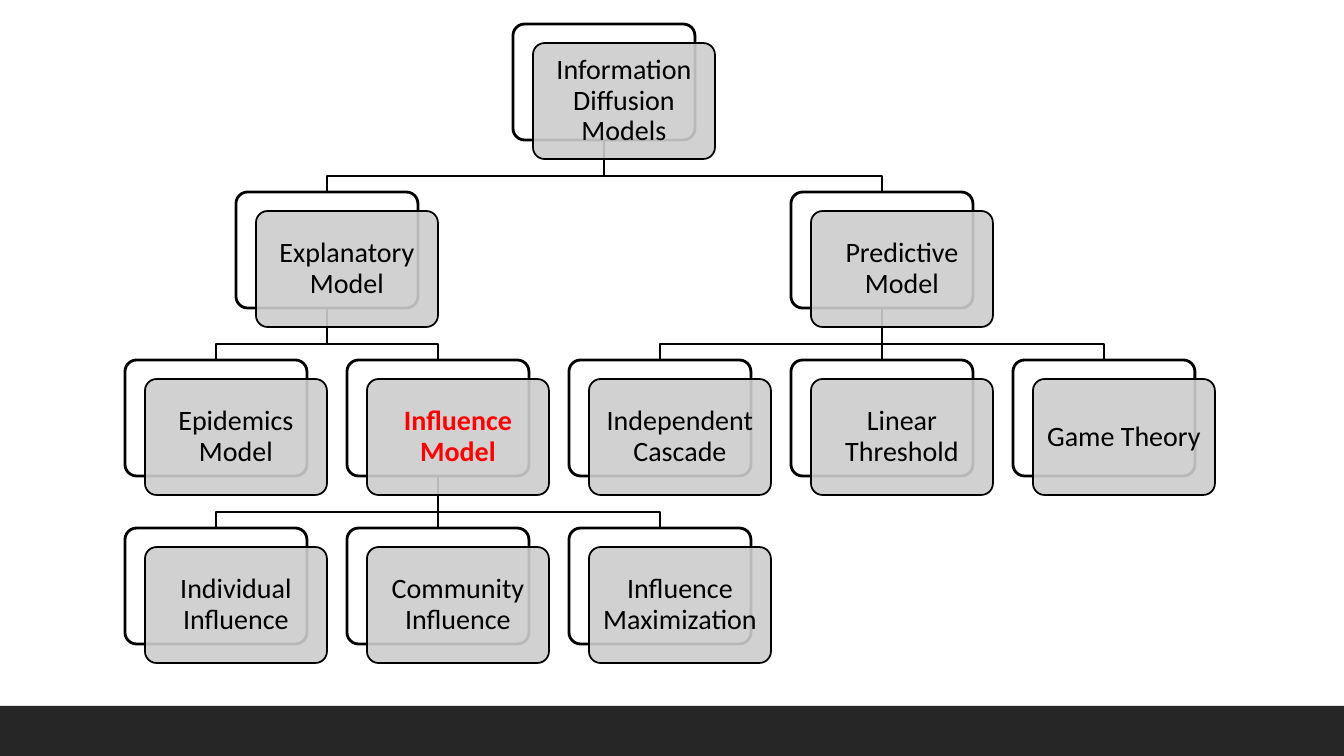
from pptx import Presentation
from pptx.dml.color import RGBColor
from pptx.enum.shapes import MSO_CONNECTOR as CONN, MSO_SHAPE as SHAPE
from pptx.enum.text import MSO_ANCHOR as ANCHOR, PP_ALIGN as ALIGN
from pptx.oxml.ns import qn
from pptx.util import Emu, Pt
from lxml.etree import SubElement

BLACK = RGBColor(0x00, 0x00, 0x00)
WHITE = RGBColor(0xFF, 0xFF, 0xFF)
GRAY = RGBColor(0xCC, 0xCC, 0xCC)
DARK = RGBColor(0x26, 0x26, 0x26)
RED = RGBColor(0xFF, 0x00, 0x00)

SCALE = 12192000 / 1344  # EMU per px
SLIDE_W, SLIDE_H = 1344, 756
LEFT, TOP = 125, 24
COL_STEP, ROW_STEP = 222, 168
CARD_W, CARD_H = 182, 116
SHIFT_X, SHIFT_Y = 20, 19
BEND = 36  # drop from a parent card to the horizontal part of a link

# Label: (column, row, parent)
TREE = {
    "Information Diffusion Models": (1.75, 0, None),
    "Explanatory Model": (0.5, 1, "Information Diffusion Models"),
    "Epidemics Model": (0, 2, "Explanatory Model"),
    "Influence Model": (1, 2, "Explanatory Model"),
    "Individual Influence": (0, 3, "Influence Model"),
    "Community Influence": (1, 3, "Influence Model"),
    "Influence Maximization": (2, 3, "Influence Model"),
    "Predictive Model": (3, 1, "Information Diffusion Models"),
    "Independent Cascade": (2, 2, "Predictive Model"),
    "Linear Threshold": (3, 2, "Predictive Model"),
    "Game Theory": (4, 2, "Predictive Model"),
}
HIGHLIGHT = "Influence Model"


def px(n):
    return Emu(round(n * SCALE))


def corner(label):
    col, row, _ = TREE[label]
    return LEFT + int(col * COL_STEP), TOP + row * ROW_STEP


class Diagram:
    font, size, thin, thick = "Calibri", Pt(20), Pt(1.25), Pt(2)

    def __init__(self, slide):
        self.shapes = slide.shapes

    def box(self, kind, x, y, w, h, fill, line=None):
        s = self.shapes.add_shape(kind, px(x), px(y), px(w), px(h))
        s.shadow.inherit = False
        s.fill.solid()
        s.fill.fore_color.rgb = fill
        if line:
            s.line.color.rgb = BLACK
            s.line.width = line
        else:
            s.line.fill.background()
        return s

    def rounded(self, x, y, fill, line):
        s = self.box(SHAPE.ROUNDED_RECTANGLE, x, y, CARD_W, CARD_H, fill, line)
        s.adjustments[0] = 0.1
        return s

    def card(self, label):
        x, y = corner(label)
        self.rounded(x, y, WHITE, self.thick)
        s = self.rounded(x + SHIFT_X, y + SHIFT_Y, GRAY, self.thin)
        color = s.fill._xPr.find(qn("a:solidFill"))[0]
        SubElement(color, qn("a:alpha"), val="90000")
        self.text(s.text_frame, label)

    def text(self, tf, label):
        tf.word_wrap = True
        tf.vertical_anchor = ANCHOR.MIDDLE
        tf.margin_left = tf.margin_right = px(8)
        tf.margin_top = tf.margin_bottom = px(8)
        p = tf.paragraphs[0]
        p.text = label
        p.alignment = ALIGN.CENTER
        p.line_spacing = 0.9
        p.font.name = self.font
        p.font.size = self.size
        p.font.bold = label == HIGHLIGHT
        p.font.color.rgb = RED if label == HIGHLIGHT else BLACK

    def link(self, parent, child):
        (x1, y1), (x2, y2) = corner(parent), corner(child)
        x1, x2, y1 = x1 + CARD_W // 2, x2 + CARD_W // 2, y1 + CARD_H
        if x1 == x2:
            s = self.shapes.add_connector(CONN.STRAIGHT, px(x1), px(y1), px(x2), px(y2))
            SubElement(s._element.spPr, qn("a:effectLst"))
        else:
            path = self.shapes.build_freeform(x1, y1, scale=SCALE)
            path.add_line_segments(
                [(x1, y1 + BEND), (x2, y1 + BEND), (x2, y2)], close=False)
            s = path.convert_to_shape()
            s.fill.background()
            s.shadow.inherit = False
        s.line.color.rgb = BLACK
        s.line.width = self.thin


def main():
    prs = Presentation()
    prs.slide_width, prs.slide_height = px(SLIDE_W), px(SLIDE_H)
    d = Diagram(prs.slides.add_slide(prs.slide_layouts[6]))

    # Footer band
    d.box(SHAPE.RECTANGLE, 0, 706, SLIDE_W, 50, DARK)

    # Links lie behind the cards
    for label, (_, _, parent) in TREE.items():
        if parent:
            d.link(parent, label)

    # Cards
    for label in TREE:
        d.card(label)

    prs.save("out.pptx")


if __name__ == "__main__":
    main()
